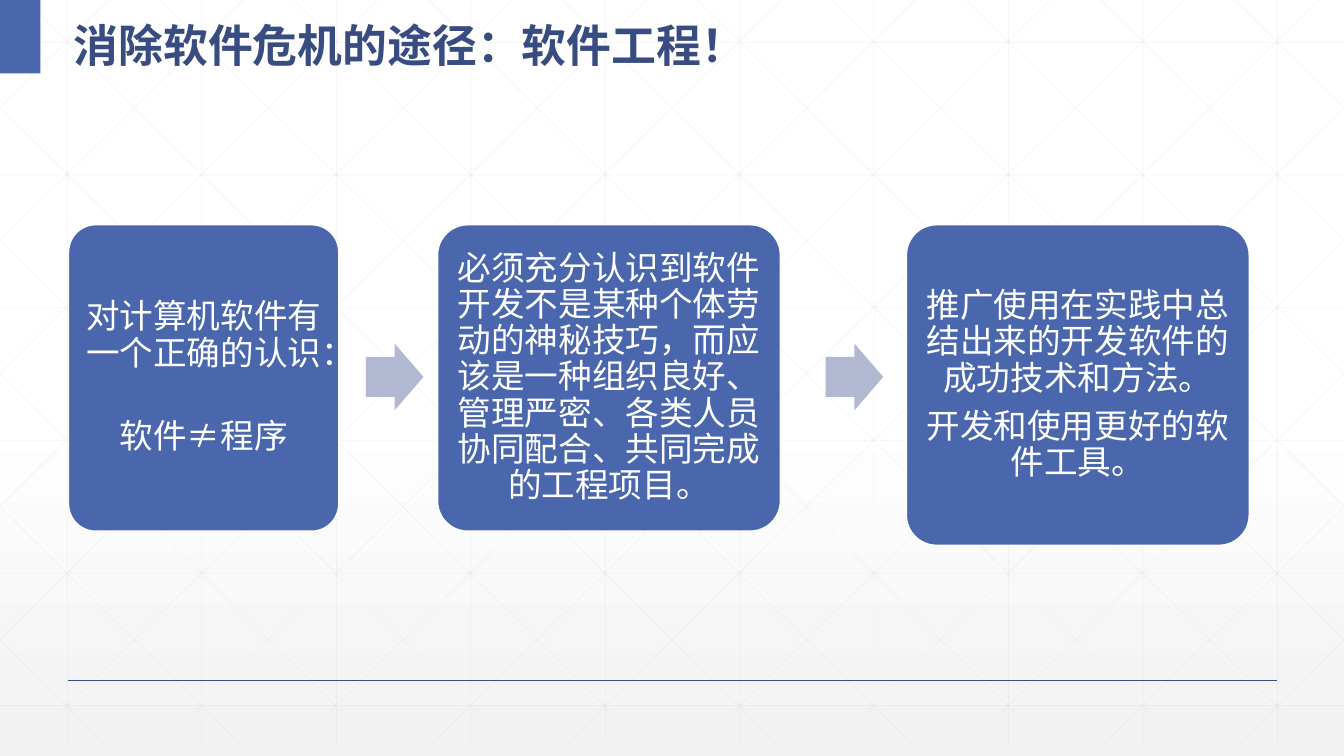
from copy import deepcopy
from pptx import Presentation
from pptx.dml.color import RGBColor
from pptx.enum.shapes import MSO_CONNECTOR as Conn, MSO_SHAPE as Kind
from pptx.enum.text import MSO_ANCHOR as Anchor, MSO_AUTO_SIZE as Fit, PP_ALIGN as Align
from pptx.oxml.ns import qn
from pptx.util import Emu, Pt
from lxml.etree import SubElement

WIDE, TALL = 1333, 750
BLUE, NAVY, PALE, GRAY, WHITE = "4A66AC", "384C81", "B2B8D2", "D9D9D9", "FFFFFF"
ARROW = (57, 66)
CARDS = [
    ((68, 223, 268, 304), 27, ["对计算机软件有一个正确的认识：", "软件≠程序"], 34),
    ((434, 223, 340, 304), 30,
     ["必须充分认识到软件开发不是某种个体劳动的神秘技巧，而应该是一种组织良好、"
      "管理严密、各类人员协同配合、共同完成的工程项目。"], 8.4),
    ((899, 223, 340, 318), 30,
     ["推广使用在实践中总结出来的开发软件的成功技术和方法。",
      "开发和使用更好的软件工具。"], 8.4),
]
ARROWS = [(363, 341), (819, 341)]


def px(n):
    return Emu(round(n * 9144))


def color(code):
    return RGBColor.from_string(code)


def write(frame, lines, size, font, ink, bold=False, align=Align.LEFT,
          pitch=1.0, gap=0, inset=(10, 5)):
    frame.word_wrap = True
    frame.auto_size = Fit.NONE
    frame.vertical_anchor = Anchor.MIDDLE
    frame.margin_left = frame.margin_right = px(inset[0])
    frame.margin_top = frame.margin_bottom = px(inset[1])
    for i, line in enumerate(lines):
        para = frame.add_paragraph() if i else frame.paragraphs[0]
        para.alignment = align
        para.line_spacing = pitch
        para.space_before = Pt(0)
        para.space_after = Pt(gap if i < len(lines) - 1 else 0)
        run = para.add_run()
        run.text = line
        run.font.size = Pt(size)
        run.font.name = font
        run.font.bold = bold
        run.font.color.rgb = color(ink)
        if font != "Arial":
            SubElement(run.font._element, qn("a:ea"), typeface=font)


def rule(slide, x1, y1, x2, y2, ink, width, alpha=None):
    line = slide.shapes.add_connector(Conn.STRAIGHT, px(x1), px(y1), px(x2), px(y2))
    line.line.color.rgb = color(ink)
    line.line.width = Pt(width)
    props = line._element.spPr
    SubElement(props, qn("a:effectLst"))
    if alpha:
        tint = props.find(".//" + qn("a:srgbClr"))
        SubElement(tint, qn("a:alpha"), val=str(alpha * 1000))


def block(slide, kind, box, fill, edge=None):
    shape = slide.shapes.add_shape(kind, *map(px, box))
    shape.shadow.inherit = False
    shape.fill.solid()
    shape.fill.fore_color.rgb = color(fill)
    if edge:
        shape.line.color.rgb = color(edge)
        shape.line.width = Pt(1)
    else:
        shape.line.fill.background()
    return shape


def backdrop(slide):
    fill = slide.background.fill
    fill.gradient()
    fill.gradient_angle = 270
    first = fill.gradient_stops[0]._gs
    first.addnext(deepcopy(first))
    for stop, (spot, ink) in zip(fill.gradient_stops,
                                 [(0, WHITE), (0.53, WHITE), (1, "F2F2F2")]):
        stop.color.rgb = color(ink)
        stop.position = spot


def grid(slide, wide, tall):
    step, slope = 400 / 3, 745 / 737
    faint = dict(ink=GRAY, width=0.5, alpha=25)
    for i in range(10):
        x = 67 + i * step
        rule(slide, x, 0, x, tall, **faint)
    for i in range(6):
        y = 42 + i * 131.6
        rule(slide, 0, y, wide, y, **faint)
    for i in range(-5, 10):
        start = 25 + i * step
        top = max(0, -start / slope)
        end = min(tall, (wide - start) / slope)
        left, right = start + slope * top, start + slope * end
        rule(slide, left, top, right, end, **faint)
        rule(slide, wide - left, top, wide - right, end, **faint)


def header(slide, box):
    x, y, w, h = box
    block(slide, Kind.RECTANGLE, (x, y, 40, h), BLUE)
    title = slide.shapes.title
    title.left, title.top, title.width, title.height = map(px, (x + 63, y, w - 63, h))
    write(title.text_frame, ["消除软件危机的途径：软件工程！"], 32, "Noto Sans CJK SC",
          NAVY, bold=True, pitch=1.3)
    tree = title._element.getparent()
    tree.append(title._element)


def card(slide, box, bend, lines, gap):
    shape = block(slide, Kind.ROUNDED_RECTANGLE, box, BLUE, WHITE)
    shape.adjustments[0] = bend / min(box[2:])
    pad = 15 - round(bend * 0.29)
    write(shape.text_frame, lines, 24, "Arial", WHITE, align=Align.CENTER,
          pitch=0.9, gap=gap, inset=(pad, pad))


def arrow(slide, spot):
    shape = block(slide, Kind.RIGHT_ARROW, spot + ARROW, PALE)
    shape.adjustments[0] = 0.6
    shape.adjustments[1] = 0.5


def main():
    deck = Presentation()
    deck.slide_width, deck.slide_height = px(WIDE), px(TALL)
    slide = deck.slides.add_slide(deck.slide_layouts[5])
    backdrop(slide)
    grid(slide, WIDE, 737)
    rule(slide, 67, 675, 1267, 675, NAVY, 1)
    header(slide, (0, 0, 775, 73))
    for item in CARDS:
        card(slide, *item)
    for spot in ARROWS:
        arrow(slide, spot)
    deck.save("out.pptx")


if __name__ == "__main__":
    main()
